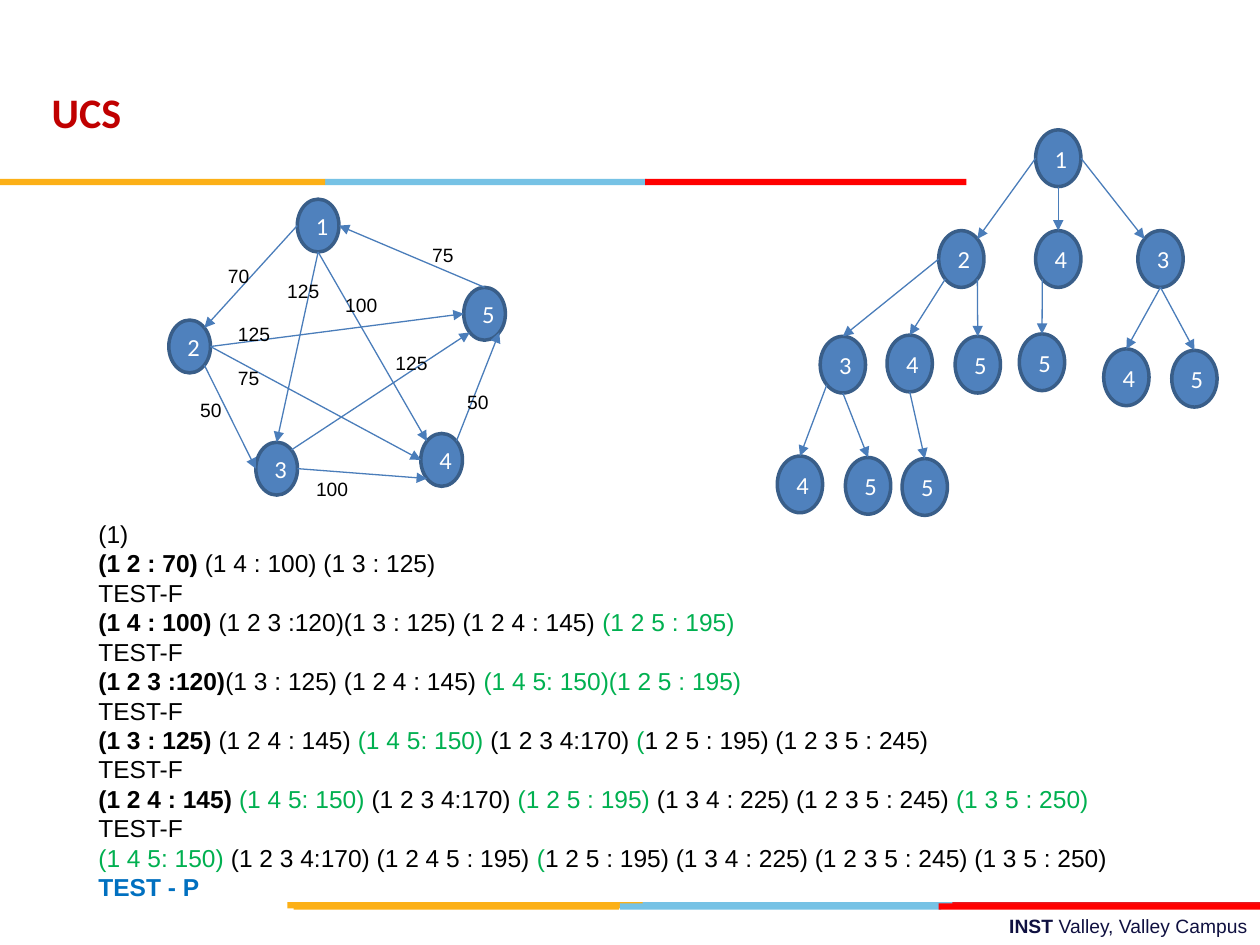
"""Builds a uniform-cost search slide with a weighted graph, its search tree and the queue trace."""
from dataclasses import dataclass
from math import cos, radians, sin

from lxml.etree import SubElement
from pptx import Presentation
from pptx.dml.color import RGBColor
from pptx.enum.shapes import MSO_CONNECTOR, MSO_SHAPE
from pptx.enum.text import MSO_ANCHOR, MSO_AUTO_SIZE, PP_ALIGN
from pptx.oxml.ns import qn
from pptx.util import Pt

COLORS = {
    "gold": "FCB017", "sky": "76C2E5", "crimson": "E31C24", "red": "FF0000",
    "node": "4F81BD", "outline": "395E89", "edge": "4A7DBA",
    "title": "C00000", "footer": "101141", "white": "FFFFFF",
    "black": "000000", "goal": "00B050", "passed": "0070C0",
}
FONTS = {
    "title": {"name": "Calibri", "size": Pt(24), "bold": True},
    "node": {"name": "Calibri", "size": Pt(14), "bold": False},
    "label": {"name": "Arial", "size": Pt(11), "bold": False},
    "label_bold": {"name": "Arial", "size": Pt(11), "bold": True},
    "trace": {"name": "Arial", "size": Pt(14), "bold": False},
    "trace_bold": {"name": "Arial", "size": Pt(14), "bold": True},
}
FRAME = {
    "word_wrap": True, "auto_size": MSO_AUTO_SIZE.NONE,
    "margin_left": Pt(7.2), "margin_right": Pt(7.2),
    "margin_top": Pt(3.6), "margin_bottom": Pt(3.6),
}
SITE_ANGLES = {"R": 0, "BR": 45, "B": 90, "BL": 135, "L": 180, "TL": 225, "T": 270, "TR": 315}


@dataclass(frozen=True)
class Box:
    left: float
    top: float
    width: float
    height: float

    def site(self, name: str) -> tuple[float, float]:
        angle = radians(SITE_ANGLES[name])
        return (self.left + self.width / 2 * (1 + cos(angle)),
                self.top + self.height / 2 * (1 + sin(angle)))

    def lengths(self) -> list[Pt]:
        return [Pt(value) for value in (self.left, self.top, self.width, self.height)]


@dataclass(frozen=True)
class Bar:
    left: float
    top: float
    width: float
    color: str


@dataclass(frozen=True)
class Edge:
    start: str
    start_site: str
    end: str
    end_site: str


@dataclass(frozen=True)
class Weight:
    text: str
    left: float
    top: float
    width: float


@dataclass(frozen=True)
class Span:
    text: str
    color: str = "black"
    font: str = "trace"


BARS = [
    Bar(364.3, 515.5, 183.6, "sky"), Bar(544.3, 515.5, 175.7, "crimson"),
    Bar(164.2, 515.5, 203, "gold"), Bar(354.2, 516.2, 183.6, "sky"),
    Bar(167.8, 516.2, 185.8, "gold"), Bar(536.4, 516.2, 183.6, "red"),
    Bar(185.8, 102.2, 183.6, "sky"), Bar(0, 102.2, 185.8, "gold"),
    Bar(368.6, 102.2, 183.6, "red"),
]
GRAPH_NODES = {
    "1": (169.9, 113.8), "2": (96.5, 182.9), "3": (146.2, 252.7),
    "4": (240.5, 247.7), "5": (265, 164.2),
}
GRAPH_EDGES = [
    Edge("1", "L", "2", "TR"), Edge("1", "B", "3", "T"), Edge("1", "B", "4", "TL"),
    Edge("2", "BR", "3", "L"), Edge("2", "R", "4", "L"), Edge("2", "R", "5", "L"),
    Edge("3", "R", "4", "BL"), Edge("3", "TR", "5", "BL"),
    Edge("4", "TR", "5", "BR"), Edge("5", "T", "1", "R"),
]
WEIGHTS = [
    Weight("70", 123.1, 147.6, 27), Weight("125", 157, 156.2, 35.3),
    Weight("100", 190.1, 164.2, 37.4), Weight("50", 107.3, 223.9, 27),
    Weight("75", 128.9, 205.9, 32.4), Weight("125", 128.9, 180.7, 33.8),
    Weight("50", 259.9, 219.6, 27), Weight("100", 173.5, 269.3, 37.4),
    Weight("125", 218.9, 197.3, 37.4), Weight("75", 239.8, 135.4, 27),
]
TREE_NODES = {
    "1": (591.8, 74.2), "12": (536.4, 131.8), "14": (591.8, 131.8), "13": (650.2, 131.8),
    "123": (468.7, 192.2), "124": (506.9, 191.5), "125": (545.8, 192.2),
    "145": (582.5, 190.8), "134": (630.7, 199.4), "135": (669.6, 200.2),
    "1234": (444.2, 260.6), "1235": (483.1, 261.4), "1245": (515.5, 262.1),
}
TREE_SITES = {
    "12": ("L", "TR"), "14": ("B", "T"), "13": ("R", "TL"),
    "123": ("L", "T"), "124": ("BL", "T"), "125": ("BR", "T"),
    "145": ("BL", "T"), "134": ("B", "T"), "135": ("B", "T"),
    "1234": ("BL", "T"), "1235": ("B", "T"), "1245": ("B", "T"),
}
TREE_EDGES = [Edge(route[:-1], start, route, end) for route, (start, end) in TREE_SITES.items()]


def best(text: str) -> Span:
    return Span(text, font="trace_bold")


def goal(text: str) -> Span:
    return Span(text, "goal")


FAILED = [Span("TEST-F")]
TRACE = [
    [Span("(1)")],
    [best("(1 2 : 70)"), Span(" (1 4 : 100) (1 3 : 125)")],
    FAILED,
    [best("(1 4 : 100)"), Span(" (1 2 3 :120)(1 3 : 125) (1 2 4 : 145) "), goal("(1 2 5 : 195)")],
    FAILED,
    [best("(1 2 3 :120)"), Span("(1 3 : 125) (1 2 4 : 145) "), goal("(1 4 5: 150)(1 2 5 : 195)")],
    FAILED,
    [best("(1 3 : 125) "), Span("(1 2 4 : 145) "), goal("(1 4 5: 150) "),
     Span("(1 2 3 4:170) "), goal("("), Span("1 2 5 : 195) (1 2 3 5 : 245)")],
    FAILED,
    [best("(1 2 4 : 145) "), goal("(1 4 5: 150) "), Span("(1 2 3 4:170) "),
     goal("(1 2 5 : 195)"), Span(" (1 3 4 : 225) (1 2 3 5 : 245) "), goal("(1 3 5 : 250)")],
    FAILED,
    [goal("(1 4 5: 150) "), Span("(1 2 3 4:170) (1 2 4 5 : 195) "), goal("("),
     Span("1 2 5 : 195) (1 3 4 : 225) (1 2 3 5 : 245) (1 3 5 : 250)")],
    [Span("TEST - P", "passed", "trace_bold")],
]


def rgb(name: str) -> RGBColor:
    return RGBColor.from_string(COLORS[name])


def apply(target, values: dict) -> None:
    for name, value in values.items():
        setattr(target, name, value)


def write(shape, lines: list[list[Span]], anchor=MSO_ANCHOR.TOP, **paragraph_format) -> None:
    frame = shape.text_frame
    apply(frame, {**FRAME, "vertical_anchor": anchor})
    for index, spans in enumerate(lines):
        paragraph = frame.add_paragraph() if index else frame.paragraphs[0]
        apply(paragraph, paragraph_format)
        for span in spans:
            run = paragraph.add_run()
            run.text = span.text
            apply(run.font, FONTS[span.font])
            run.font.color.rgb = rgb(span.color)


def place(shape, box: Box) -> None:
    apply(shape, dict(zip(("left", "top", "width", "height"), box.lengths())))


def draw_bar(slide, bar: Bar) -> None:
    shape = slide.shapes.add_shape(
        MSO_SHAPE.RECTANGLE, *Box(bar.left, bar.top, bar.width, 3.6).lengths())
    shape.shadow.inherit = False
    shape.fill.solid()
    shape.fill.fore_color.rgb = rgb(bar.color)
    shape.line.fill.background()


def draw_node(slide, label: str, box: Box) -> None:
    shape = slide.shapes.add_shape(MSO_SHAPE.OVAL, *box.lengths())
    shape.shadow.inherit = False
    shape.fill.solid()
    shape.fill.fore_color.rgb = rgb("node")
    shape.line.color.rgb = rgb("outline")
    shape.line.width = Pt(2)
    write(shape, [[Span(label, "white", "node")]], MSO_ANCHOR.MIDDLE, alignment=PP_ALIGN.CENTER)


def draw_edge(slide, start: tuple[float, float], end: tuple[float, float]) -> None:
    connector = slide.shapes.add_connector(
        MSO_CONNECTOR.STRAIGHT, *[Pt(value) for value in start + end])
    connector.line.color.rgb = rgb("edge")
    connector.line.width = Pt(0.75)
    properties = connector._element.spPr
    SubElement(properties.find(qn("a:ln")), qn("a:tailEnd"), type="triangle")
    SubElement(properties, qn("a:effectLst"))


def draw_network(slide, nodes: dict, edges: list[Edge], width: float, height: float) -> None:
    boxes = {route: Box(*corner, width, height) for route, corner in nodes.items()}
    for route, box in boxes.items():
        draw_node(slide, route[-1], box)
    for edge in edges:
        draw_edge(slide, boxes[edge.start].site(edge.start_site), boxes[edge.end].site(edge.end_site))


def draw_text(slide, box: Box, spans: list[Span], alignment=PP_ALIGN.LEFT) -> None:
    write(slide.shapes.add_textbox(*box.lengths()), [spans], alignment=alignment)


def main() -> None:
    presentation = Presentation()
    presentation.slide_width, presentation.slide_height = Pt(720), Pt(540)
    slide = presentation.slides.add_slide(presentation.slide_layouts[1])
    title, body = slide.placeholders
    place(title, Box(22.3, 11.5, 498.2, 90))
    write(title, [[Span("UCS", "title", "title")]], MSO_ANCHOR.MIDDLE,
          alignment=PP_ALIGN.LEFT, line_spacing=1.5)
    place(body, Box(49, 293, 646.6, 227.5))
    write(body, TRACE, space_before=Pt(0))
    for paragraph in body.text_frame.paragraphs:
        properties = paragraph._p.get_or_add_pPr()
        apply_indent = {"marL": "0", "indent": "0"}
        properties.attrib.update(apply_indent)
        SubElement(properties, qn("a:buNone"))
    for bar in BARS:
        draw_bar(slide, bar)
    draw_text(slide, Box(257.8, 519.1, 462.2, 20.9),
              [Span("INST ", "footer", "label_bold"), Span("Valley, Valley Campus", "footer", "label")],
              PP_ALIGN.RIGHT)
    draw_network(slide, GRAPH_NODES, GRAPH_EDGES, 23.8, 30.2)
    for weight in WEIGHTS:
        draw_text(slide, Box(weight.left, weight.top, weight.width, 20.9),
                  [Span(weight.text, font="label")])
    draw_network(slide, TREE_NODES, TREE_EDGES, 25.9, 32.4)
    presentation.save("out.pptx")


if __name__ == "__main__":
    main()
